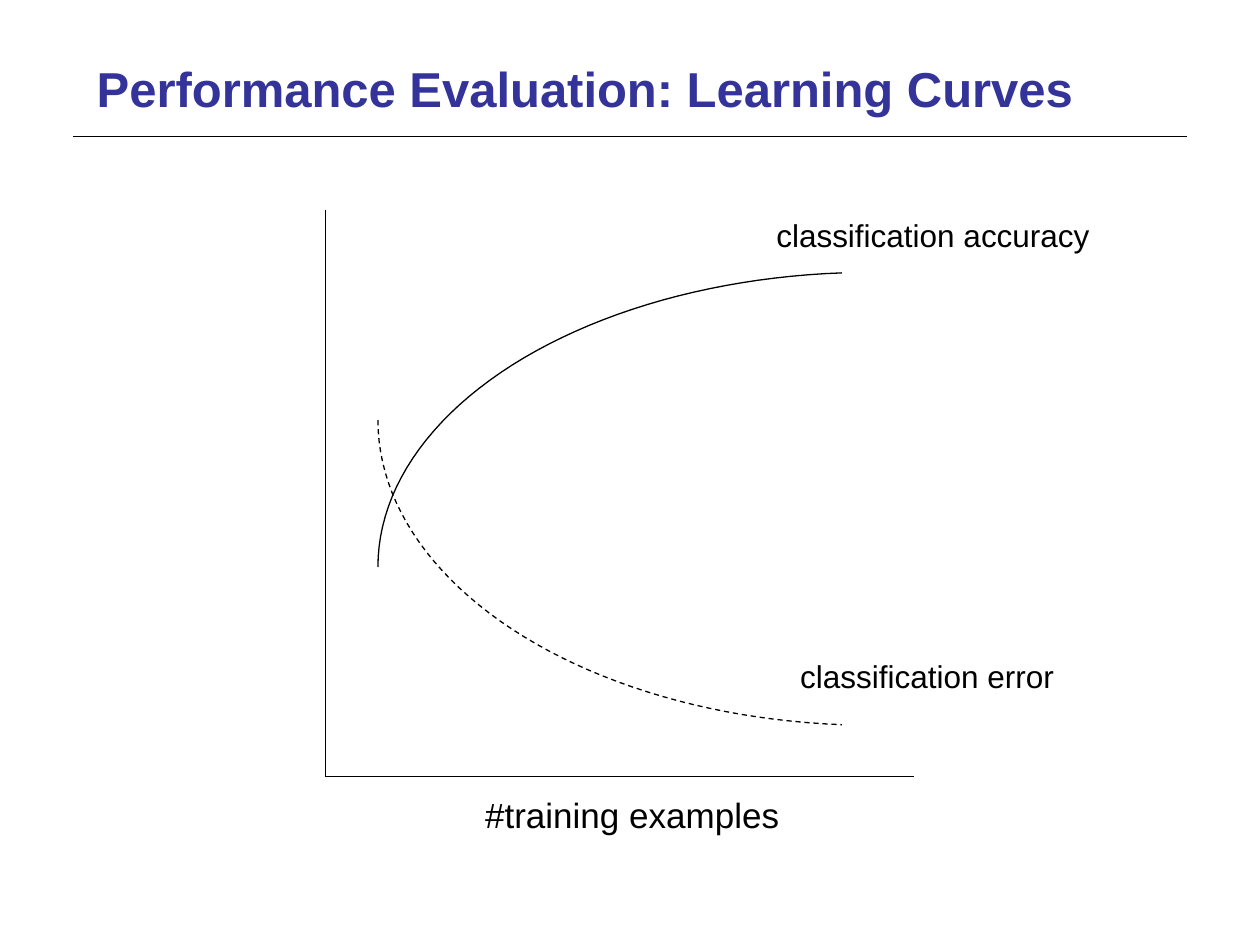
from math import cos, radians, sin

from lxml import etree
from pptx import Presentation
from pptx.dml.color import RGBColor
from pptx.enum.dml import MSO_LINE
from pptx.enum.shapes import MSO_CONNECTOR
from pptx.enum.text import MSO_ANCHOR, MSO_AUTO_SIZE
from pptx.oxml.ns import qn
from pptx.util import Cm, Pt

STRAIGHT = MSO_CONNECTOR.STRAIGHT
SOLID, DASH = MSO_LINE.SOLID, MSO_LINE.DASH
TOP = MSO_ANCHOR.TOP
FIXED = MSO_AUTO_SIZE.NONE
HUES = {"title": "333399", "ink": "000000"}

deck = Presentation()
deck.slide_width, deck.slide_height = Cm(25.4), Cm(19.05)
slide = deck.slides.add_slide(deck.slide_layouts[6])
shapes = slide.shapes


def hue(name):
    return RGBColor.from_string(HUES[name])


def add_text(text, box, size, color="ink", bold=False):
    frame = shapes.add_textbox(*map(Cm, box)).text_frame
    form = {"word_wrap": True, "auto_size": FIXED, "vertical_anchor": TOP}
    for key, value in form.items():
        setattr(frame, key, value)
    run = frame.paragraphs[0].add_run()
    run.text = text
    for key, value in {"name": "Arial", "size": Pt(size), "bold": bold}.items():
        setattr(run.font, key, value)
    run.font.color.rgb = hue(color)


# Title rule and the two axes
left, base = 6.56, 15.66
lines = [
    (1.48, 2.75, 23.92, 2.75, 1),
    (left, 4.23, left, base, 0.75),
    (left, base, 18.42, base, 0.75),
]
for *ends, width in lines:
    line = shapes.add_connector(STRAIGHT, *map(Cm, ends))
    line.line.width = Pt(width)
    line.line.color.rgb = hue("ink")
    etree.SubElement(line._element.spPr, qn("a:effectLst"))

# Learning curves: elliptical arcs, rising and falling
mid, wide, sweep, steps = 17.58, 9.96, 86.5, 44
curves = [(11.43, -5.94, SOLID), (8.47, 6.15, DASH)]
for start, rise, dash in curves:
    turns = [radians(sweep * i / steps) for i in range(steps + 1)]
    dots = [(Cm(mid - wide * cos(t)), Cm(start + rise * sin(t))) for t in turns]
    path = shapes.build_freeform(*dots[0])
    path.add_line_segments(dots[1:], close=False)
    curve = path.convert_to_shape()
    curve.shadow.inherit = False
    curve.fill.background()
    curve.line.color.rgb = hue("ink")
    for key, value in {"width": Pt(0.75), "dash_style": dash}.items():
        setattr(curve.line, key, value)

# Title and labels
add_text("Performance Evaluation: Learning Curves", (1.7, 1.05, 22.02, 2.54),
         28, "title", bold=True)
labels = [
    ("#training examples", (9.53, 15.88, 6.7, 1.12), 20),
    ("classification accuracy", (15.4, 4.23, 7.1, 1.02), 18),
    ("classification error", (15.88, 13.12, 5.9, 1.02), 18),
]
for label in labels:
    add_text(*label)

deck.save("out.pptx")
